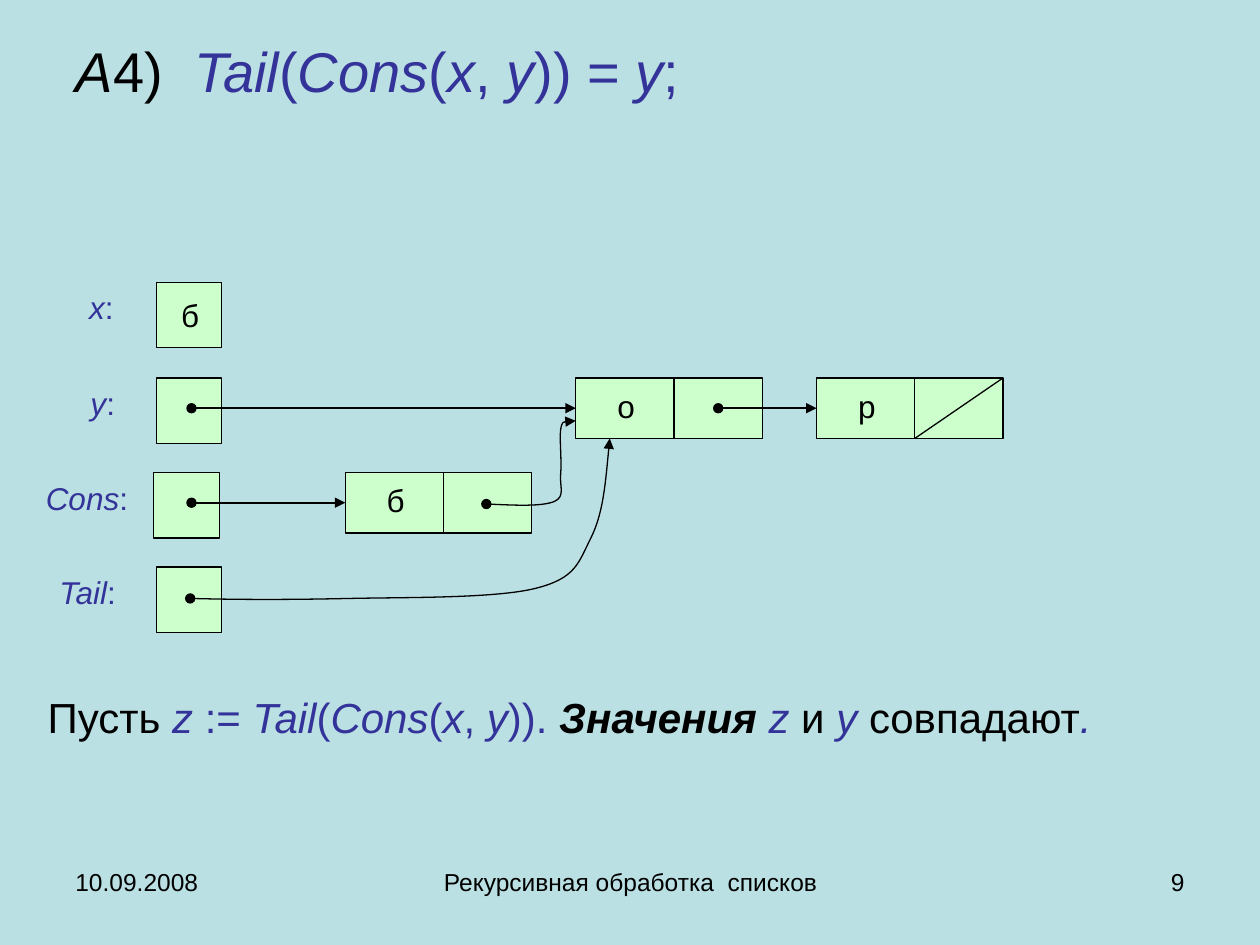
from lxml.etree import SubElement
from pptx import Presentation
from pptx.dml.color import RGBColor as RGB
from pptx.enum.shapes import MSO_CONNECTOR as CON, MSO_SHAPE as SHAPE
from pptx.enum.text import MSO_ANCHOR as ANCHOR, MSO_AUTO_SIZE as AUTO, PP_ALIGN as ALIGN
from pptx.oxml.ns import qn
from pptx.util import Inches, Pt

HEX = {"back": "BBE0E3", "cell": "CCFFCC", "ink": "000000", "math": "333399"}
STYLES = {
    "plain": {"color": "ink", "italic": False, "bold": False},
    "name": {"color": "ink", "italic": True, "bold": False},
    "strong": {"color": "ink", "italic": True, "bold": True},
    "var": {"color": "math", "italic": True, "bold": False},
    "sign": {"color": "math", "italic": False, "bold": False},
}
CALL = [("Tail", "var"), ("(", "sign"), ("Cons", "var"), ("(", "sign"),
        ("x", "var"), (", ", "sign"), ("y", "var")]
TITLE = [("A", "name"), ("4)  ", "plain"), *CALL,
         (")) = ", "sign"), ("y", "var"), (";", "sign")]
CLAIM = [("Пусть ", "plain"), ("z", "var"), (" := ", "sign"), *CALL,
         (")). ", "sign"), ("Значения ", "strong"), ("z", "var"),
         (" и ", "plain"), ("y ", "var"), ("совпадают", "plain"), (".", "var")]
BOX, CELL_W, CELL_H, SPLIT = 0.52, 1.48, 0.48, 0.78


def color(key):
    return RGB.from_string(HEX[key])


def fill_text(frame, runs, size, align=ALIGN.LEFT):
    para = frame.paragraphs[0]
    para.alignment = align
    for text, style in runs:
        run = para.add_run()
        run.text = text
        form = dict(STYLES[style], name="Arial", size=Pt(size))
        run.font.color.rgb = color(form.pop("color"))
        for key, value in form.items():
            setattr(run.font, key, value)


def add_text(slide, box, runs, size, align=ALIGN.LEFT, pad=(0.1, 0.05)):
    frame = slide.shapes.add_textbox(*map(Inches, box)).text_frame
    frame.word_wrap = True
    frame.margin_left = frame.margin_right = Inches(pad[0])
    frame.margin_top = frame.margin_bottom = Inches(pad[1])
    fill_text(frame, runs, size, align)


def add_letter(slide, x, y, letter):
    add_text(slide, (x, y, 0.2, 0.32), [(letter, "plain")], 18,
             ALIGN.CENTER, (0.02, 0.01))


def add_rect(slide, x, y, wide, high):
    rect = slide.shapes.add_shape(SHAPE.RECTANGLE, *map(Inches, (x, y, wide, high)))
    rect.shadow.inherit = False
    rect.fill.solid()
    rect.fill.fore_color.rgb = color("cell")
    set_line(rect, 0.75)
    return rect


def set_line(shape, width, arrow=False):
    shape.line.color.rgb = color("ink")
    shape.line.width = Pt(width)
    if arrow:
        line = shape.line._get_or_add_ln()
        SubElement(line, qn("a:headEnd"), type="oval")
        SubElement(line, qn("a:tailEnd"), type="triangle")


def add_line(slide, x1, y1, x2, y2, width=0.75, arrow=False):
    line = slide.shapes.add_connector(CON.STRAIGHT, *map(Inches, (x1, y1, x2, y2)))
    set_line(line, width, arrow)
    SubElement(line._element.spPr, qn("a:effectLst"))
    return line


def add_arrow(slide, x, pair):
    """Point from x straight to the left side of a pair."""
    mid = (pair.top + pair.height / 2) / Inches(1)
    line = add_line(slide, x, mid, pair.left / Inches(1), mid, 1, True)
    line.end_connect(pair, 1)


def add_pair(slide, x, y, letter):
    """Draw a list cell with a value half and a link half."""
    pair = add_rect(slide, x, y, CELL_W, CELL_H)
    add_line(slide, x + SPLIT, y, x + SPLIT, y + CELL_H)
    add_letter(slide, x + 0.3, y + 0.06, letter)
    return pair


def add_curve(slide, start, points):
    """Draw an arrow of Bezier arcs, three points to an arc."""
    form = slide.shapes.build_freeform(*map(Inches, start))
    form.add_line_segments([tuple(map(Inches, p)) for p in points], close=False)
    curve = form.convert_to_shape()
    steps = list(curve._element.iter(qn("a:lnTo")))
    path = steps[0].getparent()
    for i in range(0, len(steps), 3):
        arc = SubElement(path, qn("a:cubicBezTo"))
        for step in steps[i:i + 3]:
            arc.append(step[0])
            path.remove(step)
    curve.shadow.inherit = False
    curve.fill.background()
    set_line(curve, 0.75, True)


def add_row(slide, name, x, y, label_x, label_w):
    add_rect(slide, x, y, BOX, BOX)
    add_text(slide, (label_x, y, label_w, 0.4),
             [(name, "var"), (":", "sign")], 18, ALIGN.CENTER)


def add_title(slide):
    title = slide.shapes.title
    title.left, title.top, title.width, title.height = map(Inches, (0.5, 0.3, 9, 0.51))
    frame = title.text_frame
    frame.auto_size = AUTO.NONE
    frame.vertical_anchor = ANCHOR.MIDDLE
    fill_text(frame, TITLE, 32)


def add_lists(slide):
    for row in (("x", 1.24, 2.24, 0.48, 0.65), ("y", 1.24, 3, 0.49, 0.65),
                ("Cons", 1.22, 3.75, 0.22, 0.94), ("Tail", 1.24, 4.5, 0.27, 0.85)):
        add_row(slide, *row)
    add_letter(slide, 1.41, 2.34, "б")
    first = add_pair(slide, 2.74, 3.75, "б")
    second = add_pair(slide, 4.57, 3, "о")
    last = add_pair(slide, 6.48, 3, "р")
    add_line(slide, 6.48 + CELL_W, 3, 6.48 + SPLIT, 3 + CELL_H)
    for x, pair in ((1.52, first), (1.52, second), (5.7, last)):
        add_arrow(slide, x, pair)
    add_curve(slide, (3.86, 4), [
        (4.08, 4.01), (4.3, 4.02), (4.4, 3.98), (4.49, 3.94), (4.44, 3.86),
        (4.45, 3.76), (4.46, 3.67), (4.44, 3.48), (4.45, 3.41), (4.46, 3.34),
        (4.49, 3.35), (4.51, 3.34), (4.53, 3.33), (4.55, 3.34), (4.57, 3.34)])
    add_curve(slide, (1.51, 4.75), [
        (1.91, 4.76), (2.31, 4.76), (2.77, 4.75), (3.23, 4.74), (3.93, 4.75),
        (4.25, 4.67), (4.57, 4.59), (4.59, 4.47), (4.69, 4.27), (4.79, 4.07),
        (4.81, 3.78), (4.84, 3.48)])


def add_footer(slide):
    for x, wide, text, align in (
            (0.5, 2.33, "10.09.2008", ALIGN.LEFT),
            (3.42, 3.17, "Рекурсивная обработка  списков", ALIGN.CENTER),
            (7.17, 2.33, "9", ALIGN.RIGHT)):
        add_text(slide, (x, 6.83, wide, 0.52), [(text, "plain")], 14, align)


def main():
    deck = Presentation()
    deck.slide_width, deck.slide_height = Inches(10), Inches(7.5)
    slide = deck.slides.add_slide(deck.slide_layouts[5])
    slide.background.fill.solid()
    slide.background.fill.fore_color.rgb = color("back")
    add_title(slide)
    add_lists(slide)
    add_text(slide, (0.28, 5.44, 9.55, 0.5), CLAIM, 24)
    add_footer(slide)
    deck.save("out.pptx")


if __name__ == "__main__":
    main()
